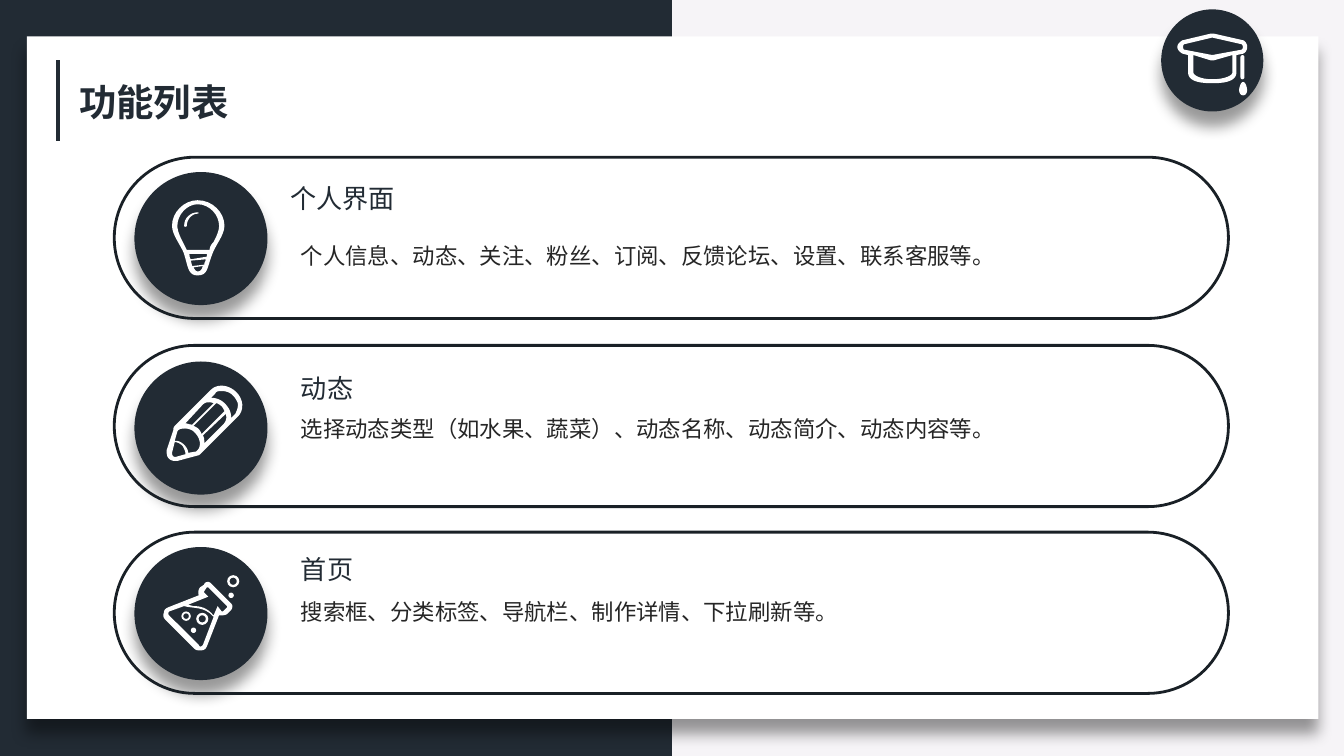
from lxml import etree
from pptx import Presentation
from pptx.dml.color import RGBColor
from pptx.enum.lang import MSO_LANGUAGE_ID
from pptx.enum.shapes import MSO_CONNECTOR, MSO_SHAPE
from pptx.enum.text import MSO_AUTO_SIZE
from pptx.oxml import parse_xml
from pptx.oxml.ns import qn
from pptx.util import Inches, Pt

RECT, OVAL = MSO_SHAPE.RECTANGLE, MSO_SHAPE.OVAL
PILL, RING = MSO_SHAPE.ROUNDED_RECTANGLE, MSO_SHAPE.DONUT
STRAIGHT = MSO_CONNECTOR.STRAIGHT
GROW = MSO_AUTO_SIZE.SHAPE_TO_FIT_TEXT
CHINESE = MSO_LANGUAGE_ID.SIMPLIFIED_CHINESE
CJK_FONT = "Noto Sans CJK SC"
NAVY, WHITE, OUTLINE, GREY, PALE = "222B34", "FFFFFF", "192026", "262626", "F6F4F7"
SLIDE_WIDTH = 10
SLIDE_HEIGHT = SLIDE_WIDTH * 9 / 16
A_NS = "http://schemas.openxmlformats.org/drawingml/2006/main"
SHADOW = (
    f'<a:effectLst xmlns:a="{A_NS}"><a:outerShdw blurRad="101600" dist="101600" '
    'dir="5400000" algn="ctr" rotWithShape="0"><a:srgbClr val="000000">'
    '<a:alpha val="40000"/></a:srgbClr></a:outerShdw></a:effectLst>'
)
CURVE_STEPS = 8

CAP = [
    "902,41 881,37 C 880,36 880,34 881,33 902,28 924,33 C 925,34 925,36 924,37",
    "917,54 C 917,56 912,59 902,59 C 893,59 888,56 888,54 888,41 901,45 903,45 917,41",
    "928,35 C 928,33 927,31 925,30 903,25 901,25 880,30 C 878,31 876,33 876,35 "
    "C 876,37 878,39 880,40 884,41 884,54 C 884,59 889,62 902,62 "
    "C 915,62 920,59 920,54 920,41 925,40 C 927,39 928,37 928,35",
]
TASSEL_DROP = [
    "925,61 C 923,61 922,66 922,67 C 922,69 923,71 925,71 "
    "C 927,71 928,69 928,67 C 928,66 927,61 925,61",
]
BULB = [
    "156,186 139,186 C 138,184 137,182 136,180 C 134,176 132,172 132,168 "
    "C 132,160 139,152 147,152 C 156,152 163,160 163,168 "
    "C 163,172 161,176 159,180 C 157,182 156,184 156,186",
    "147,202 C 146,202 145,201 144,199 151,198 C 150,201 149,202 147,202",
    "142,193 C 141,192 141,190 141,189 154,189 154,191",
    "152,197 143,198 142,194 153,193 C 153,195 152,195 152,197",
    "147,149 C 137,149 128,158 128,168 C 128,175 135,183 137,189 "
    "C 140,199 140,205 147,205 C 155,205 154,199 158,189 "
    "C 160,183 167,175 167,168 C 167,158 158,149 147,149",
]
BULB_GLINT = [
    "147,158 C 142,158 137,162 137,168 C 137,169 139,169 139,168 "
    "C 139,163 143,159 147,159 C 148,159 148,158 147,158",
]
PENCIL = [
    "175,308 172,311 C 172,306 170,303 167,300 C 164,297 160,296 157,296 160,293 "
    "C 161,291 163,291 165,291 C 168,291 171,292 173,294 "
    "C 175,296 177,299 177,301 C 177,304 176,306 175,308",
    "140,337 C 140,335 139,333 137,331 C 135,329 133,328 130,328 132,321 "
    "C 133,318 142,318 145,322 C 149,326 150,332 147,335 146,336",
    "131,340 130,340 C 129,340 128,339 128,337 130,329 "
    "C 132,329 134,330 136,332 C 137,334 138,336 138,338",
    "143,316 C 141,316 139,315 138,315 151,301 C 153,299 156,299 159,300",
    "150,323 C 149,320 147,318 144,317 161,300 C 164,301 166,303 167,306",
    "152,329 C 152,327 152,326 151,324 168,308 C 169,311 168,314 166,316 152,330",
    "176,292 C 173,289 169,287 165,287 C 162,287 159,288 157,290 130,317 "
    "C 129,318 129,319 129,320 124,335 124,337 C 124,341 127,343 130,343 132,343 "
    "147,339 C 148,339 149,338 150,337 177,310 C 182,305 181,297 176,292",
]
FLASK = [
    "169,452 166,455 165,455 162,451 159,458 C 154,452 149,451 144,451 "
    "140,450 155,444 152,441 152,440 154,437 155,437 169,451",
    "151,480 C 150,481 149,482 148,480 126,458 C 125,457 125,456 126,455 137,451 "
    "C 144,453 152,451 159,459",
    "158,435 C 157,434 156,433 155,433 C 153,433 152,434 152,435 149,437 "
    "C 148,438 147,441 148,443 125,452 C 123,453 122,454 122,456 "
    "C 121,458 122,460 123,461 145,483 C 146,484 148,484 149,484 "
    "C 152,484 153,483 154,481 163,458 C 165,458 167,458 169,457 171,455 "
    "C 172,454 173,453 173,451 C 173,450 172,449 171,448",
]
FLASK_RINGS = [(1.46, 4.56, 0.09), (1.69, 4.28, 0.09), (1.35, 4.55, 0.07)]
FLASK_DOTS = [(1.42, 4.67), (1.70, 4.41)]

FEATURES = [
    (1.17, 1.28, "个人界面", (2.06, 1.31, 0.98, 0.34), 1.69,
     "个人信息、动态、关注、粉丝、订阅、反馈论坛、设置、联系客服等。"),
    (2.57, 2.69, "动态", (2.14, 2.72, 0.59, 0.34), 2.98,
     "选择动态类型（如水果、蔬菜）、动态名称、动态简介、动态内容等。"),
    (3.96, 4.07, "首页", (2.14, 4.07, 0.59, 0.34), 4.34,
     "搜索框、分类标签、导航栏、制作详情、下拉刷新等。"),
]


def color(value):
    """Turn a hex string into a colour."""
    return RGBColor.from_string(value)


def paint(item, fill=None, line=None, shadow=False):
    """Set the fill, outline and shadow of a shape."""
    item.shadow.inherit = False
    if fill:
        item.fill.solid()
        item.fill.fore_color.rgb = color(fill)
    else:
        item.fill.background()
    if line:
        item.line.color.rgb = color(line)
        item.line.width = Pt(1.5)
    else:
        item.line.fill.background()
    if shadow:
        properties = item._element.spPr
        properties.replace(properties.find(qn("a:effectLst")), parse_xml(SHADOW))


def add_preset(slide, kind, box, adjust=None, **style):
    """Add a painted preset shape."""
    item = slide.shapes.add_shape(kind, *map(Inches, box))
    if adjust is not None:
        item.adjustments[0] = adjust
    paint(item, **style)


def add_text(slide, text, box, size, font, ink=NAVY, bold=False, wrap=False,
             spacing=None, before=None):
    """Add a text box holding one paragraph."""
    frame = slide.shapes.add_textbox(*map(Inches, box)).text_frame
    frame.word_wrap = wrap
    frame.auto_size = GROW
    paragraph = frame.paragraphs[0]
    paragraph.line_spacing = spacing
    paragraph.space_before = before
    run = paragraph.add_run()
    run.text = text
    run.font.size = Pt(size)
    run.font.name = font
    run.font.bold = bold
    run.font.color.rgb = color(ink)
    run.font.language_id = CHINESE
    east_asian = etree.Element(qn("a:ea"), typeface=CJK_FONT)
    run.font._element.find(qn("a:latin")).addnext(east_asian)


def trace(outline):
    """Turn an outline in hundredths of an inch into points, with curves flattened."""
    points, pending = [], []
    curving = False
    for token in outline.split():
        if token == "C":
            curving = True
            continue
        pending.append(tuple(int(part) / 100 for part in token.split(",")))
        if curving and len(pending) < 3:
            continue
        if curving:
            controls = [points[-1], *pending]
            for step in range(1, CURVE_STEPS + 1):
                t = step / CURVE_STEPS
                weights = ((1 - t) ** 3, 3 * t * (1 - t) ** 2, 3 * t * t * (1 - t), t ** 3)
                points.append(tuple(sum(w * p[axis] for w, p in zip(weights, controls))
                                    for axis in (0, 1)))
        else:
            points += pending
        pending, curving = [], False
    return [(Inches(x), Inches(y)) for x, y in points]


def add_icon(slide, outlines):
    """Add a white freeform whose inner outlines are holes."""
    first, *others = [trace(outline) for outline in outlines]
    builder = slide.shapes.build_freeform(*first[0])
    builder.add_line_segments(first[1:], close=True)
    for points in others:
        builder.move_to(*points[0])
        builder.add_line_segments(points[1:], close=True)
    paint(builder.convert_to_shape(), fill=WHITE)


def add_accent(slide):
    """Add the vertical rule beside the title."""
    rule = slide.shapes.add_connector(STRAIGHT, *map(Inches, (0.43, 0.45, 0.43, 1.05)))
    rule.line.color.rgb = color(NAVY)
    rule.line.width = Pt(2.25)
    etree.SubElement(rule._element.spPr, qn("a:effectLst"))


def add_feature(slide, pill_top, badge_top, heading, heading_box, detail_top, detail):
    """Add one outlined row with its badge, heading and detail."""
    add_preset(slide, OVAL, (1, badge_top, 0.99, 0.99), fill=NAVY, shadow=True)
    add_preset(slide, PILL, (0.85, pill_top, 8.29, 1.2), adjust=0.5, line=OUTLINE)
    add_text(slide, heading, heading_box, 14, "Arial")
    add_text(slide, detail, (2.14, detail_top, 6.92, 0.36), 12, "Calibri", ink=GREY,
             wrap=True, spacing=1.3, before=Pt(6))


def main():
    """Build the feature list slide."""
    deck = Presentation()
    deck.slide_width, deck.slide_height = Inches(SLIDE_WIDTH), Inches(SLIDE_HEIGHT)
    slide = deck.slides.add_slide(deck.slide_layouts[6])
    slide.background.fill.solid()
    slide.background.fill.fore_color.rgb = color(PALE)
    add_preset(slide, RECT, (0, 0, SLIDE_WIDTH / 2, SLIDE_HEIGHT), fill=NAVY)
    add_preset(slide, RECT, (0.2, 0.27, 9.61, 5.08), fill=WHITE, shadow=True)
    add_accent(slide)
    add_preset(slide, OVAL, (8.64, 0.07, 0.76, 0.76), fill=NAVY, shadow=True)
    add_icon(slide, CAP)
    add_preset(slide, PILL, (9.23, 0.41, 0.03, 0.18), adjust=0.5, fill=WHITE)
    add_icon(slide, TASSEL_DROP)
    add_text(slide, "功能列表", (0.49, 0.54, 1.31, 0.44), 20, CJK_FONT, bold=True)
    for feature in FEATURES:
        add_feature(slide, *feature)
    for outlines in (FLASK, PENCIL, BULB, BULB_GLINT):
        add_icon(slide, outlines)
    for left, top, size in FLASK_RINGS:
        add_preset(slide, RING, (left, top, size, size), adjust=0.2, fill=WHITE)
    for left, top in FLASK_DOTS:
        add_preset(slide, OVAL, (left, top, 0.04, 0.04), fill=WHITE)
    deck.save("out.pptx")


main()
